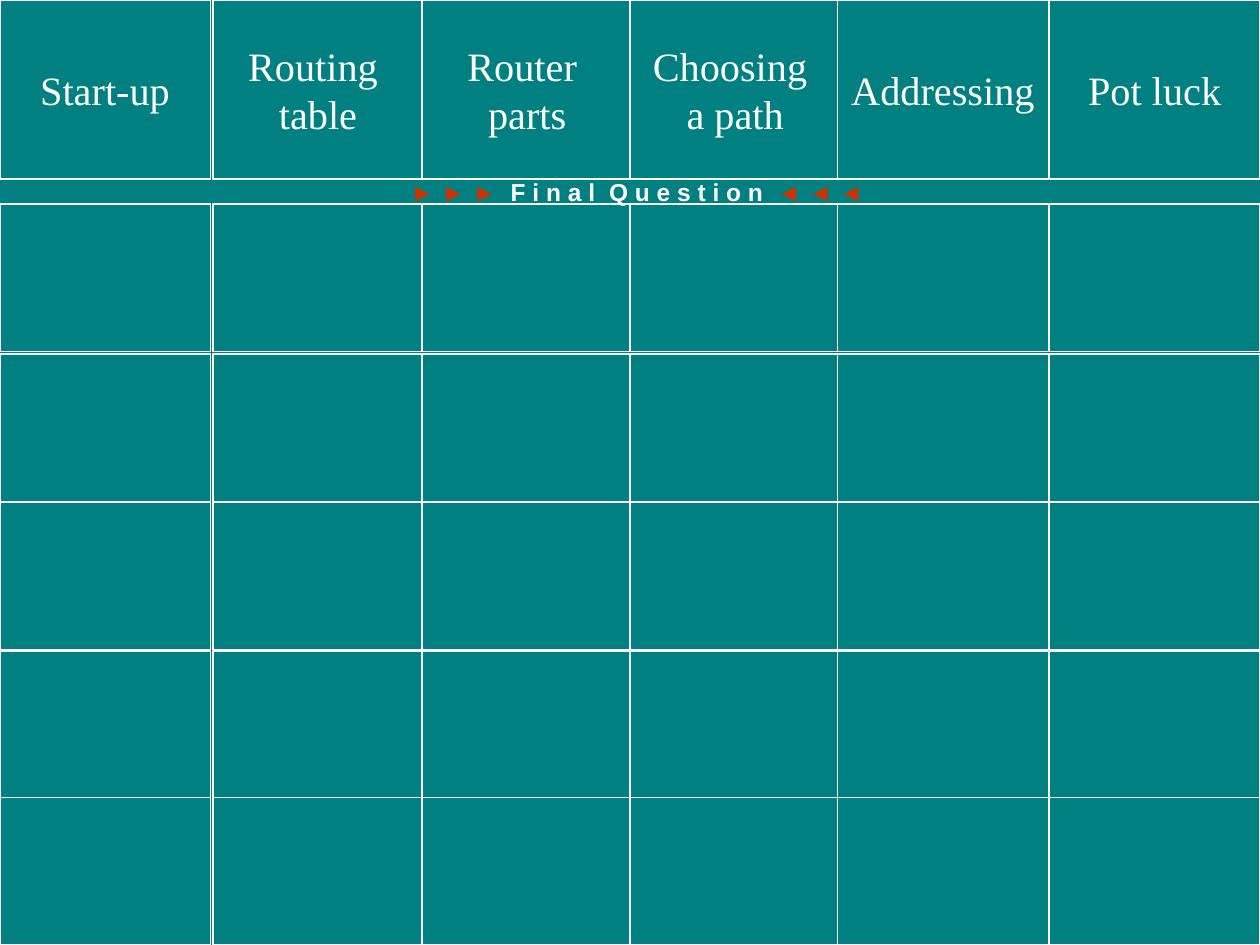
from pptx import Presentation
from pptx.dml.color import RGBColor
from pptx.enum.shapes import MSO_SHAPE
from pptx.enum.text import MSO_ANCHOR, PP_ALIGN
from pptx.util import Inches, Pt

RECTANGLE = MSO_SHAPE.RECTANGLE
MIDDLE = MSO_ANCHOR.MIDDLE
CENTER = PP_ALIGN.CENTER

COLORS = {"board": "008080", "chalk": "FFFFFF", "marker": "CC3300"}
COLUMN_LEFTS = [0, 1.69, 3.35, 5, 6.65, 8.33]
ROW_TOPS = [1.62, 2.81, 3.99, 5.17, 6.33]
COLUMN_WIDTH = 1.67
HEADER_HEIGHT = 1.42
ROW_HEIGHT = 1.17
CATEGORIES = [
    "Start-up",
    "Routing \ntable",
    "Router \nparts",
    "Choosing \na path",
    "Addressing",
    "Pot luck",
]
WIDE_GAP = 390


class Board:
    def __init__(self, slide):
        self.slide = slide
        self.category_font = "Times New Roman"
        self.banner_font = "Arial"
        background = slide.background.fill
        background.solid()
        background.fore_color.rgb = self.color("board")

    def color(self, role):
        return RGBColor.from_string(COLORS[role])

    def cell(self, parent, column, top, height):
        cell = parent.add_shape(
            RECTANGLE,
            Inches(COLUMN_LEFTS[column]),
            Inches(top),
            Inches(COLUMN_WIDTH),
            Inches(height),
        )
        cell.shadow.inherit = False
        cell.fill.solid()
        cell.fill.fore_color.rgb = self.color("board")
        cell.line.color.rgb = self.color("chalk")
        cell.line.width = Pt(0.75)
        return cell

    def category(self, column, title):
        frame = self.cell(self.slide.shapes, column, 0, HEADER_HEIGHT).text_frame
        frame.word_wrap = False
        frame.vertical_anchor = MIDDLE
        heading = frame.paragraphs[0]
        heading.text = title
        heading.alignment = CENTER
        heading.font.name = self.category_font
        heading.font.size = Pt(23)
        heading.font.color.rgb = self.color("chalk")

    def clue_row(self, top):
        row = self.slide.shapes.add_group_shape()
        for column in range(len(COLUMN_LEFTS)):
            self.cell(row.shapes, column, top, ROW_HEIGHT)

    def banner(self, left, top, width, height, parts):
        box = self.slide.shapes.add_textbox(
            Inches(left), Inches(top), Inches(width), Inches(height)
        )
        frame = box.text_frame
        frame.word_wrap = True
        frame.margin_left = Inches(0.2)
        line = frame.paragraphs[0]
        line.alignment = CENTER
        line.font.name = self.banner_font
        line.font.size = Pt(14)
        line.font.bold = True
        for index, (words, role) in enumerate(parts):
            if index:
                gap = line.add_run()
                gap.text = " "
                gap.font._element.set("spc", str(WIDE_GAP))
            run = line.add_run()
            run.text = words
            run.font.color.rgb = self.color(role)


def main():
    presentation = Presentation()
    presentation.slide_width = Inches(10)
    presentation.slide_height = Inches(7.5)
    board = Board(presentation.slides.add_slide(presentation.slide_layouts[6]))

    for column, title in enumerate(CATEGORIES):
        board.category(column, title)
    for top in ROW_TOPS:
        board.clue_row(top)
    board.banner(
        1.67, 1.36, 6.67, 0.3,
        [
            ("► ► ►", "marker"),
            ("F i n a l", "chalk"),
            ("Q u e s t i o n", "chalk"),
            ("◄ ◄ ◄", "marker"),
        ],
    )
    presentation.save("out.pptx")


if __name__ == "__main__":
    main()
